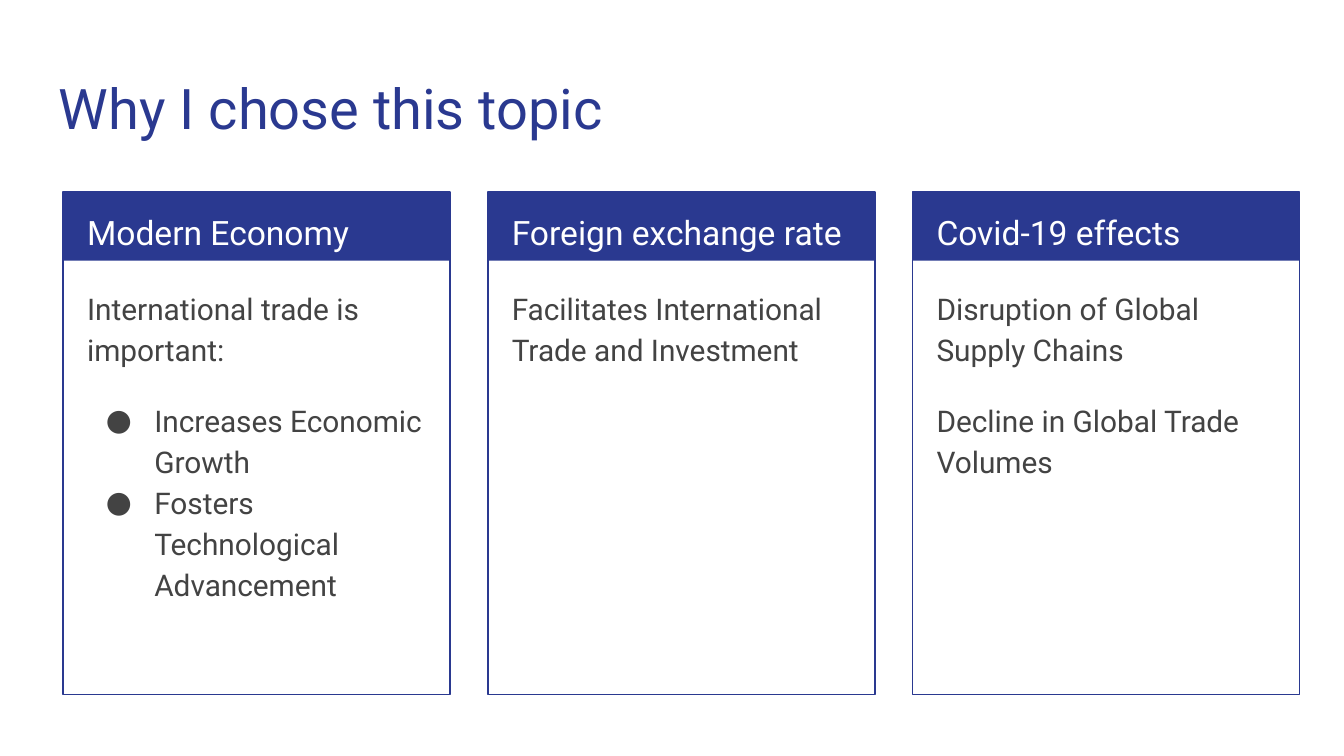
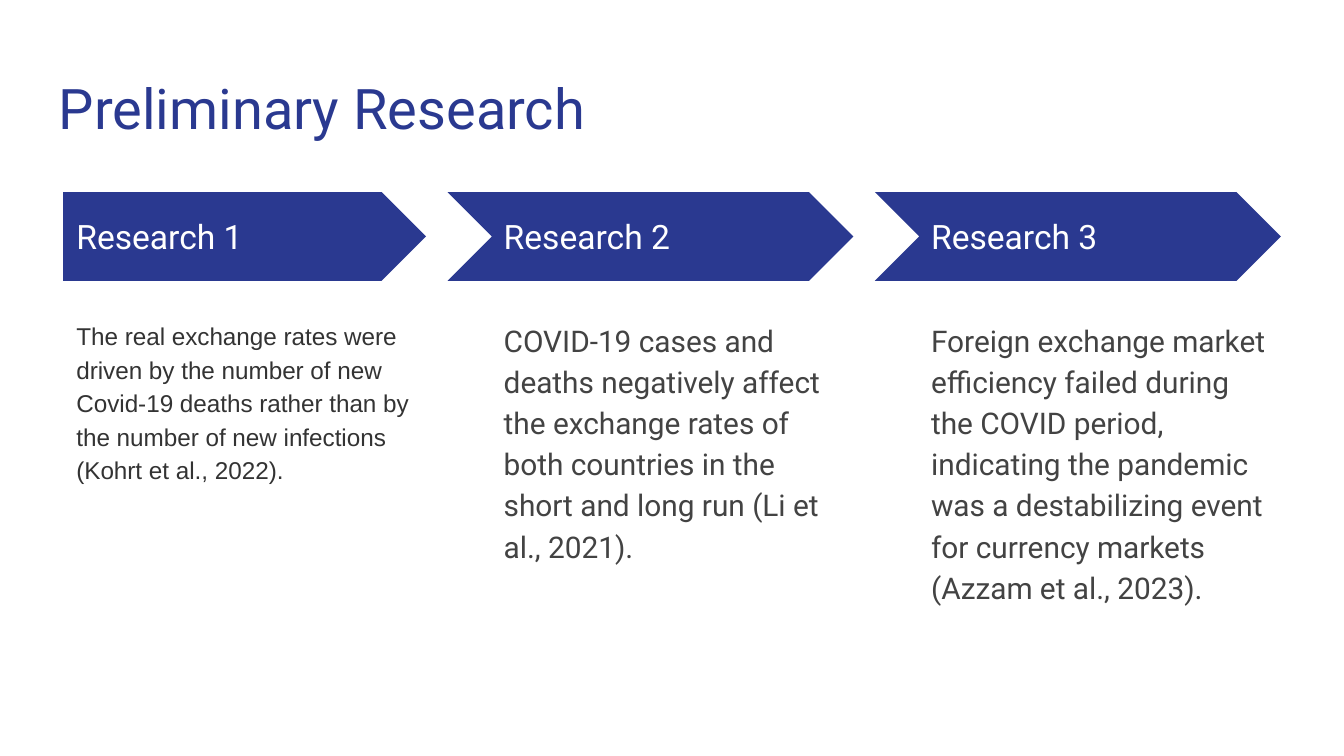
import pptx
import pptx.util
import pptx.dml.color
import pptx.enum.shapes
import pptx.enum.text
import lxml.etree
from pptx.oxml.ns import qn

Inches = pptx.util.Inches
Pt = pptx.util.Pt
Shape = pptx.enum.shapes.MSO_SHAPE
Anchor = pptx.enum.text.MSO_ANCHOR
RGBColor = pptx.dml.color.RGBColor

NAVY = RGBColor(0x2A, 0x39, 0x90)
WHITE = RGBColor(0xFF, 0xFF, 0xFF)
GREY = RGBColor(0x43, 0x43, 0x43)
DARK = RGBColor(0x33, 0x33, 0x33)

WIDTH = 10
HEIGHT = WIDTH * 9 / 16
LEFT, TOP = 0.47, 1.43

REASONS = "Why I chose this topic"
CARDS = [
    ("Modern Economy", [
        ("International trade is important:", 0, False),
        ("Increases Economic Growth", 16, True),
        ("Fosters Technological Advancement", 0, True),
    ]),
    ("Foreign exchange rate", [
        ("Facilitates International Trade and Investment", 0, False),
    ]),
    ("Covid-19 effects", [
        ("Disruption of Global Supply Chains", 0, False),
        ("Decline in Global Trade Volumes", 16, False),
    ]),
]

STUDIES = "Preliminary Research"
STEPS = [
    ("Research 1", "The real exchange rates were driven by the number of new "
     "Covid-19 deaths rather than by the number of new infections "
     "(Kohrt et al., 2022).", "Arial", 13, DARK),
    ("Research 2", "COVID-19 cases and deaths negatively affect the exchange "
     "rates of both countries in the short and long run "
     "(Li et al., 2021).", "Roboto", 16, GREY),
    ("Research 3", "Foreign exchange market efficiency failed during the COVID "
     "period, indicating the pandemic was a destabilizing event for currency "
     "markets (Azzam et al., 2023).", "Roboto", 16, GREY),
]


def add_bullet(para, font):
    props = para._p.get_or_add_pPr()
    props.set("marL", str(Inches(0.5)))
    props.set("indent", str(Inches(-0.36)))
    face = lxml.etree.Element(qn("a:buFont"), typeface=font)
    mark = lxml.etree.Element(qn("a:buChar"), char="●")
    spot = props.index(props.find(qn("a:defRPr")))
    props.insert(spot, face)
    props.insert(spot + 1, mark)


def add_text(slide, box, paras, size, color, font="Roboto", space=1.15,
             anchor=Anchor.TOP):
    frame = slide.shapes.add_textbox(*map(Inches, box)).text_frame
    frame.word_wrap = True
    frame.vertical_anchor = anchor
    frame.margin_left = frame.margin_right = Inches(0.1)
    frame.margin_top = frame.margin_bottom = Inches(0.1)
    for i, (text, before, bullet) in enumerate(paras):
        para = frame.add_paragraph() if i else frame.paragraphs[0]
        para.text = text
        para.line_spacing = space
        para.space_before = Pt(before)
        para.font.name = font
        para.font.size = Pt(size)
        para.font.color.rgb = color
        if bullet:
            add_bullet(para, font)


def add_block(parent, kind, box, filled=True):
    block = parent.shapes.add_shape(kind, *map(Inches, box))
    block.shadow.inherit = False
    if filled:
        block.fill.solid()
        block.fill.fore_color.rgb = NAVY
        block.line.fill.background()
    else:
        block.fill.background()
        block.line.color.rgb = NAVY
        block.line.width = Pt(0.75)


def add_slide(deck, title):
    slide = deck.slides.add_slide(deck.slide_layouts[6])
    add_text(slide, (0.34, 0.45, 9.32, 0.66), [(title, 0, False)], 30, NAVY,
             space=1.0)
    return slide


def add_cards(deck):
    slide = add_slide(deck, REASONS)
    for i, (head, paras) in enumerate(CARDS):
        x = LEFT + 3.16 * i
        card = slide.shapes.add_group_shape()
        add_block(card, Shape.RECTANGLE, (x, TOP, 2.88, 0.51))
        add_block(card, Shape.RECTANGLE, (x, TOP, 2.88, 3.74), filled=False)
        add_text(slide, (x + 0.08, TOP, 2.73, 0.5), [(head, 0, False)], 18,
                 WHITE)
        add_text(slide, (x + 0.08, 2.02, 2.71, 3.06), paras, 16, GREY)


def add_steps(deck):
    slide = add_slide(deck, STUDIES)
    for i, (head, body, font, size, color) in enumerate(STEPS):
        x = LEFT + 3.18 * i
        if i:
            add_block(slide, Shape.CHEVRON, (x - 0.32, TOP, 3.02, 0.66))
        else:
            add_block(slide, Shape.PENTAGON, (x, TOP, 2.7, 0.66))
        add_text(slide, (x, 1.59, 2.47, 0.34), [(head, 0, False)], 18, WHITE,
                 space=1.0, anchor=Anchor.MIDDLE)
        add_text(slide, (x, 2.26, 2.7, 2.9), [(body, 0, False)], size, color,
                 font)


def main():
    deck = pptx.Presentation()
    deck.slide_width = Inches(WIDTH)
    deck.slide_height = Inches(HEIGHT)
    add_cards(deck)
    add_steps(deck)
    deck.save("out.pptx")


if __name__ == "__main__":
    main()
